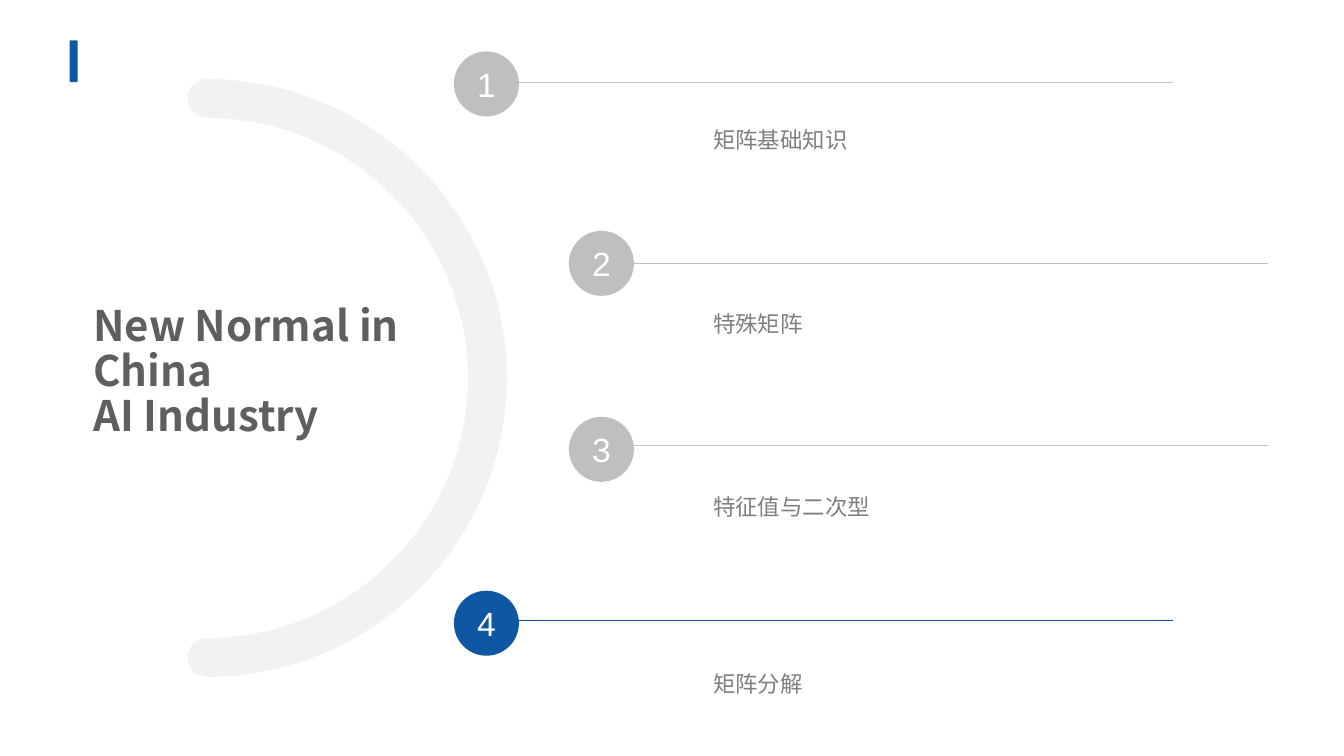
from lxml.etree import SubElement
from pptx import Presentation
from pptx.dml.color import RGBColor
from pptx.enum.shapes import MSO_CONNECTOR, MSO_SHAPE
from pptx.enum.text import MSO_ANCHOR, MSO_AUTO_SIZE, PP_ALIGN
from pptx.oxml.ns import qn
from pptx.util import Inches, Pt

BLUE, GREY, PALE = "0E57A2", "BFBFBF", "F2F2F2"
SANS = "Noto Sans CJK SC"
DIAMETER, LINE_LENGTH, LABEL_LEFT = 1.29, 13.39, 14.04
CURVE = 0.55

# number, text, colour, circle left and top, line left and y, label top, width and height
TOPICS = [
    ("1", "矩阵基础知识", GREY, 9, 1.02, 9.87, 1.63, 1.66, 4.16, 1.94),
    ("2", "特殊矩阵", GREY, 11.28, 4.58, 11.75, 5.23, 5.62, 9.45, 1.34),
    ("3", "特征值与二次型", GREY, 11.28, 8.27, 11.75, 8.84, 9.24, 9.45, 1.34),
    ("4", "矩阵分解", BLUE, 9, 11.72, 9.87, 12.3, 12.76, 9.45, 1.34),
]


def color(value):
    """Turn a hex string into a colour."""
    return RGBColor.from_string(value)


def paint(shape, fill):
    """Give a shape a plain fill without line or shadow."""
    shape.shadow.inherit = False
    shape.fill.solid()
    shape.fill.fore_color.rgb = color(fill)
    shape.line.fill.background()


def add_run(paragraph, text, size, font, fill, bold=False):
    """Add one formatted run, with its font set for Latin and East Asian text."""
    run = paragraph.add_run()
    run.text = text
    run.font.size = Pt(size)
    run.font.name = font
    run.font.bold = bold
    run.font.color.rgb = color(fill)
    SubElement(run.font._element, qn("a:ea")).set("typeface", font)


def add_accent(slide, left, top, width, height):
    """Draw the small blue bar in the corner."""
    bar = slide.shapes.add_shape(
        MSO_SHAPE.ROUNDED_RECTANGLE, Inches(left), Inches(top), Inches(width), Inches(height)
    )
    paint(bar, BLUE)


def add_title(slide, left, top, width, height):
    """Place and format the slide title."""
    title = slide.shapes.title
    title.left, title.top = Inches(left), Inches(top)
    title.width, title.height = Inches(width), Inches(height)
    frame = title.text_frame
    frame.word_wrap = True
    frame.auto_size = MSO_AUTO_SIZE.NONE
    frame.vertical_anchor = MSO_ANCHOR.TOP
    paragraph = frame.paragraphs[0]
    paragraph.alignment = PP_ALIGN.LEFT
    paragraph.line_spacing = 0.9
    add_run(paragraph, "New Normal in China ", 60, SANS, "5F5F5F", True)
    paragraph.add_line_break()
    add_run(paragraph, "AI Industry", 60, SANS, "5F5F5F", True)


def quarter_curve(start, corner, end):
    """List the two control points and the end of a quarter ellipse."""
    controls = [
        tuple(a + CURVE * (b - a) for a, b in zip(point, corner)) for point in (start, end)
    ]
    return controls + [end]


def add_half_ring(slide, left, top, width, height, thickness):
    """Draw a right half ring with round ends from eight quarter curves."""
    cap = thickness / 2
    x, middle = left + cap, top + height / 2
    right, bottom = left + width, top + height
    inner_right, inner_top, inner_bottom = right - thickness, top + thickness, bottom - thickness
    start = (x, bottom)
    quarters = [
        ((right, bottom), (right, middle)),
        ((right, top), (x, top)),
        ((left, top), (left, top + cap)),
        ((left, inner_top), (x, inner_top)),
        ((inner_right, inner_top), (inner_right, middle)),
        ((inner_right, inner_bottom), (x, inner_bottom)),
        ((left, inner_bottom), (left, bottom - cap)),
        ((left, bottom), start),
    ]
    points = [start]
    for corner, end in quarters:
        points += quarter_curve(points[-1], corner, end)
    corners = [(Inches(across), Inches(down)) for across, down in points]
    builder = slide.shapes.build_freeform(*corners[0])
    builder.add_line_segments(corners[1:], close=True)
    ring = builder.convert_to_shape()
    segments = list(ring._element.iter(qn("a:lnTo")))
    for index in range(0, len(quarters) * 3, 3):
        first, *others = segments[index:index + 3]
        curve = first.makeelement(qn("a:cubicBezTo"))
        first.addprevious(curve)
        for segment in (first, *others):
            curve.append(segment[0])
            segment.getparent().remove(segment)
    paint(ring, PALE)


def add_topic(slide, number, text, fill, left, top, line_left, line_y,
              label_top, label_width, label_height):
    """Draw one numbered circle with its rule and label."""
    rule = slide.shapes.add_connector(
        MSO_CONNECTOR.STRAIGHT,
        Inches(line_left), Inches(line_y), Inches(line_left + LINE_LENGTH), Inches(line_y),
    )
    rule.line.color.rgb = color(fill)
    rule.line.width = Pt(0.25)
    SubElement(rule._element.spPr, qn("a:effectLst"))

    circle = slide.shapes.add_shape(
        MSO_SHAPE.OVAL, Inches(left), Inches(top), Inches(DIAMETER), Inches(DIAMETER)
    )
    paint(circle, fill)
    circle.text_frame.vertical_anchor = MSO_ANCHOR.MIDDLE
    paragraph = circle.text_frame.paragraphs[0]
    paragraph.alignment = PP_ALIGN.CENTER
    add_run(paragraph, number, 48, "Arial", "FFFFFF")

    label = slide.shapes.add_textbox(
        Inches(LABEL_LEFT), Inches(label_top), Inches(label_width), Inches(label_height)
    )
    label.text_frame.word_wrap = True
    label.text_frame.vertical_anchor = MSO_ANCHOR.MIDDLE
    paragraph = label.text_frame.paragraphs[0]
    paragraph.line_spacing = 1.5
    add_run(paragraph, text, 32, SANS, "7F7F7F")


def main():
    """Build and save the slide."""
    presentation = Presentation()
    presentation.slide_width, presentation.slide_height = Inches(26.65), Inches(15)
    slide = presentation.slides.add_slide(presentation.slide_layouts.get_by_name("Title Only"))
    add_accent(slide, 1.38, 0.8, 0.16, 0.83)
    add_title(slide, 1.75, 6, 6.69, 2.91)
    add_half_ring(slide, 3.72, 1.57, 6.33, 11.86, 0.77)
    for topic in TOPICS:
        add_topic(slide, *topic)
    presentation.save("out.pptx")


if __name__ == "__main__":
    main()
